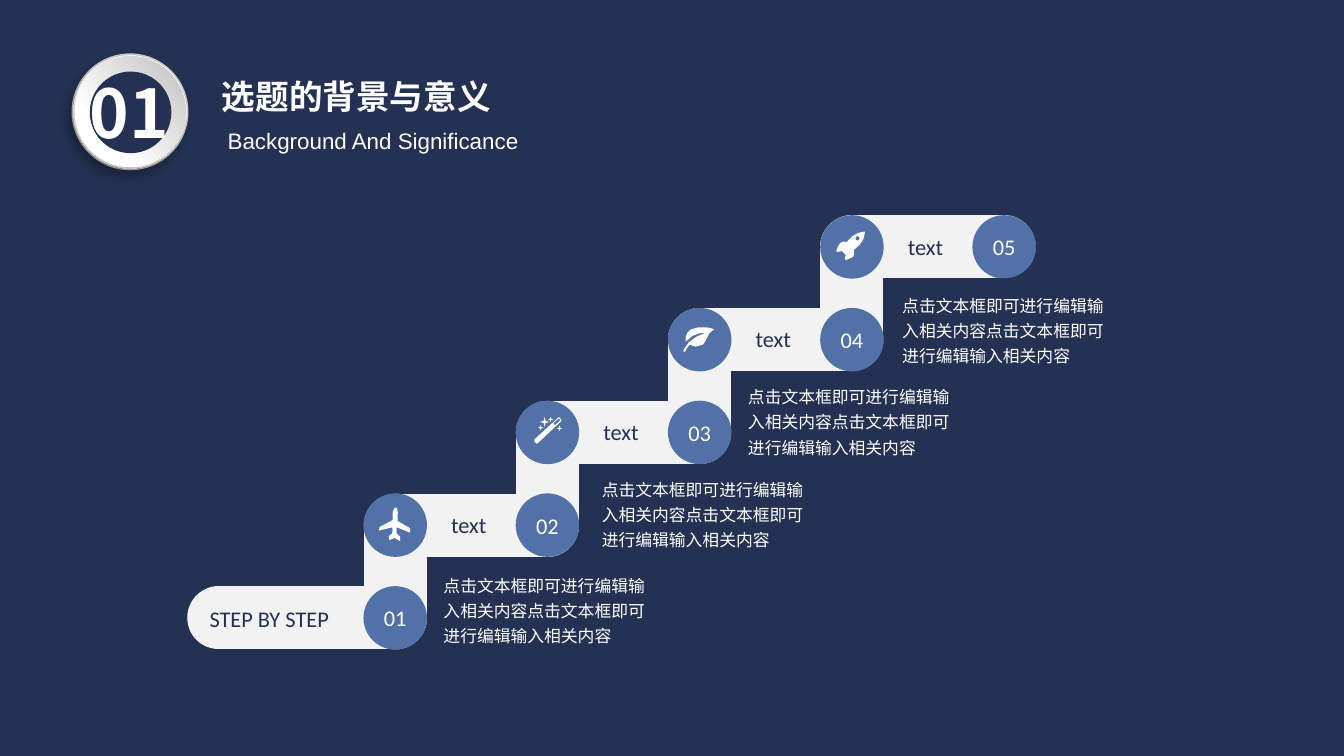
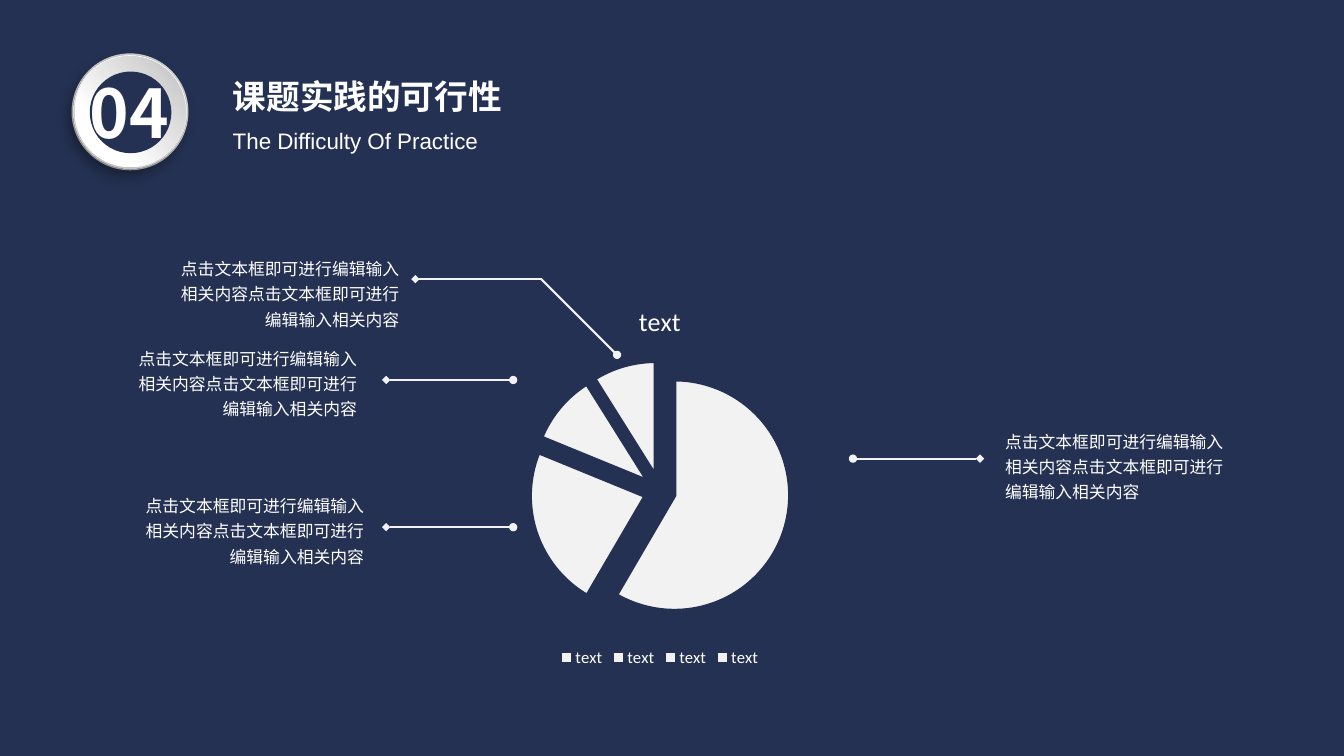
from lxml import etree
from pptx import Presentation
from pptx.chart.data import CategoryChartData
from pptx.dml.color import RGBColor
from pptx.enum.chart import XL_CHART_TYPE, XL_LEGEND_POSITION
from pptx.enum.shapes import MSO_CONNECTOR, MSO_SHAPE
from pptx.enum.text import MSO_ANCHOR, MSO_AUTO_SIZE, PP_ALIGN
from pptx.oxml import parse_xml
from pptx.oxml.ns import nsdecls, qn
from pptx.util import Inches, Pt

NAVY = RGBColor(0x24, 0x31, 0x52)
BLUE = RGBColor(0x2F, 0x55, 0x97)
WHITE = RGBColor(0xFF, 0xFF, 0xFF)
PALE = RGBColor(0xF2, 0xF2, 0xF2)
RIM = RGBColor(0xD3, 0xD3, 0xD3)
SILVER = RGBColor(0xB8, 0xB8, 0xB8)
GREY = RGBColor(0xBF, 0xBF, 0xBF)
CJK, LATIN, SUBTITLE_FONT = "Noto Sans CJK SC", "Calibri", "Arial"
CAPTION = "点击文本框即可进行编辑输入相关内容" * 2


def write(shape, text, size, font=LATIN, color=WHITE, bold=False, align=PP_ALIGN.LEFT,
          anchor=MSO_ANCHOR.TOP, wrap=True, spacing=None):
    frame = shape.text_frame
    frame.auto_size = MSO_AUTO_SIZE.NONE
    frame.word_wrap = wrap
    frame.vertical_anchor = anchor
    paragraph = frame.paragraphs[0]
    paragraph.alignment = align
    if spacing:
        paragraph.line_spacing = spacing
    run = paragraph.add_run()
    run.text = text
    for name, value in {"size": Pt(size), "name": font, "bold": bold}.items():
        setattr(run.font, name, value)
    run.font.color.rgb = color
    etree.SubElement(run.font._element, qn("a:ea"), typeface=font)


def connect(slide, start, end, width, head=None, tail=None):
    line = slide.shapes.add_connector(MSO_CONNECTOR.STRAIGHT, *map(Inches, start + end))
    line.line.color.rgb = PALE
    line.line.width = Pt(width)
    outline = line.line._get_or_add_ln()
    outline.set("cap", "flat" if head or tail else "rnd")
    for tag, kind in (("a:headEnd", head), ("a:tailEnd", tail)):
        if kind:
            etree.SubElement(outline, qn(tag), type=kind)
    etree.SubElement(line._element.spPr, qn("a:effectLst"))


prs = Presentation()
prs.slide_width, prs.slide_height = Inches(13.33), Inches(7.5)
background = prs.slide_master.background.fill
background.solid()
background.fore_color.rgb = NAVY

# Shared header: numbered ring, title, subtitle
# Ring layers: offset from the badge corner, diameter, rotation, fill stops
ring_layers = [
    (0, 1.16, 0, [(0, RIM)]),
    (0.02, 1.12, 152.3, [(0.17, WHITE), (0.88, SILVER)]),
    (0.03, 1.1, 3, [(0.29, WHITE), (0.98, GREY)]),
    (0.18, 0.81, 0, [(0, NAVY)]),
]
headers = [
    ("01", "选题的背景与意义", 2.1, "Background And Significance", 2.16),
    ("04", "课题实践的可行性", 2.21, "The Difficulty Of Practice", 2.21),
]
slides = []
for number, heading, heading_left, subheading, subheading_left in headers:
    slide = prs.slides.add_slide(prs.slide_layouts[5])
    slides.append(slide)
    for offset, diameter, rotation, stops in ring_layers:
        ring = slide.shapes.add_shape(MSO_SHAPE.OVAL, Inches(0.71 + offset), Inches(0.53 + offset),
                                      Inches(diameter), Inches(diameter))
        ring.rotation = rotation
        ring.shadow.inherit = False
        ring.line.fill.background()
        if len(stops) == 1:
            ring.fill.solid()
            ring.fill.fore_color.rgb = stops[0][1]
        else:
            ring.fill.gradient()
            ring.fill.gradient_angle = 45
            for stop, (position, color) in zip(ring.fill.gradient_stops, stops):
                stop.position = position
                stop.color.rgb = color
        if rotation > 90:
            effects = ring._element.spPr.find(qn("a:effectLst"))
            effects.append(parse_xml(
                f'<a:outerShdw {nsdecls("a")} blurRad="{Pt(10)}" dist="{Pt(5)}" dir="{123 * 60000}" '
                'rotWithShape="0"><a:srgbClr val="000000"><a:alpha val="39000"/></a:srgbClr></a:outerShdw>'))
    badge = slide.shapes.add_textbox(Inches(0.59), Inches(0.66), Inches(1.39), Inches(0.91))
    write(badge, number, 48, CJK, bold=True, align=PP_ALIGN.CENTER)
    title = slide.shapes.title
    title.left, title.top = Inches(heading_left), Inches(0.7)
    title.width, title.height = Inches(5.4), Inches(0.5)
    write(title, heading, 24, CJK, bold=True)
    subtitle = slide.shapes.add_textbox(Inches(subheading_left), Inches(1.21), Inches(5.4), Inches(0.37))
    write(subtitle, subheading, 16, SUBTITLE_FONT)

steps_slide, share_slide = slides

# Staircase: step i is centred at (xs[i], ys[i])
xs = [3.92 + 1.51 * i for i in range(5)]
ys = [6.13 - 0.92 * i for i in range(5)]
for x_before, x, y in zip([2.17] + xs, xs, ys):
    connect(steps_slide, (x_before, y), (x, y), 45)
for x, y, y_next in zip(xs, ys, ys[1:]):
    connect(steps_slide, (x, y), (x, y_next), 45)

# Discs: numbers on the steps, empty ones at the corners for icons
discs = [(x, y, f"{i:02d}") for i, (x, y) in enumerate(zip(xs, ys), 1)]
discs += [(x, y, "") for x, y in zip(xs, ys[1:])]
for x, y, number in discs:
    disc = steps_slide.shapes.add_shape(MSO_SHAPE.OVAL, Inches(x - 0.315), Inches(y - 0.315),
                                        Inches(0.63), Inches(0.63))
    disc.shadow.inherit = False
    disc.line.fill.background()
    disc.fill.solid()
    disc.fill.fore_color.rgb = BLUE
    tint = disc._element.spPr.find(qn("a:solidFill"))[0]
    etree.SubElement(tint, qn("a:alpha"), val="82000")
    if number:
        write(disc, number, 16, align=PP_ALIGN.CENTER, anchor=MSO_ANCHOR.MIDDLE, wrap=False)

# Icons: outlines in thousandths of an inch from the icon corner
plane = [[(210, 320), (240, 290), (200, 150), (260, 90), (285, 55), (280, 40), (260, 38), (230, 50),
          (170, 110), (30, 70), (0, 90), (120, 160), (80, 200), (30, 200), (10, 230), (60, 250),
          (80, 310), (110, 280), (110, 230), (150, 190)]]
sparkles = [[(x, y - r), (x + r / 5, y - r / 5), (x + r, y), (x + r / 5, y + r / 5),
             (x, y + r), (x - r / 5, y + r / 5), (x - r, y), (x - r / 5, y - r / 5)]
            for x, y, r in [(63, 113, 28), (102, 56, 50), (162, 30, 28), (250, 120, 28)]]
wand = [[(240, 10), (250, 10), (265, 30), (270, 40), (262, 52), (30, 270), (20, 270), (8, 258),
         (0, 245), (0, 230)],
        [(258, 40), (240, 22), (190, 70), (203, 90)]] + sparkles
leaf = [[(80, 50), (48, 82), (32, 118), (30, 170), (95, 114), (160, 88), (230, 80), (139, 120),
         (65, 173), (10, 250), (8, 265), (22, 270), (30, 260), (48, 228), (70, 200), (128, 219),
         (200, 200), (224, 168), (244, 129), (268, 83), (310, 50), (294, 39), (236, 27), (156, 27)]]
rocket = [[(180, 190), (239, 137), (276, 80), (290, 10), (280, 8), (220, 22), (161, 56), (110, 110),
           (70, 108), (45, 120), (25, 150), (8, 190), (5, 207), (20, 210), (60, 200), (100, 240),
           (88, 280), (100, 290), (150, 270), (174, 255), (183, 230)],
          [(200, 90), (195, 75), (200, 60), (215, 52), (230, 60), (238, 75), (230, 90), (215, 98)]]
icons = [(plane, 3.78, 5.05, 316.2), (wand, 5.3, 4.13, 0), (leaf, 6.77, 3.22, 0), (rocket, 8.29, 2.29, 0)]
for contours, left, top, rotation in icons:
    builder = steps_slide.shapes.build_freeform(*contours[0][0], scale=914.4)
    builder.add_line_segments(contours[0][1:])
    for contour in contours[1:]:
        builder.move_to(*contour[0])
        builder.add_line_segments(contour[1:])
    icon = builder.convert_to_shape(Inches(left), Inches(top))
    icon.rotation = rotation
    icon.shadow.inherit = False
    icon.line.fill.background()
    icon.fill.solid()
    icon.fill.fore_color.rgb = WHITE

# Step labels
start_label = steps_slide.shapes.add_textbox(Inches(1.98), Inches(5.95), Inches(1.43), Inches(0.37))
write(start_label, "STEP BY STEP", 16, color=NAVY, wrap=False)
for x, y in zip(xs, ys[1:]):
    step_label = steps_slide.shapes.add_textbox(Inches(x + 0.45), Inches(y - 0.19), Inches(0.56), Inches(0.37))
    write(step_label, "text", 16, color=NAVY, align=PP_ALIGN.CENTER, wrap=False)

# Leader lines around the pie
connect(share_slide, (6.12, 3.52), (5.37, 2.77), 1.5, head="oval")
connect(share_slide, (5.38, 2.77), (4.12, 2.77), 1.5, tail="diamond")
for x, x_end, y in [(5.09, 3.83, 3.77), (5.09, 3.83, 5.23), (8.46, 9.72, 4.55)]:
    connect(share_slide, (x, y), (x_end, y), 1.5, head="oval", tail="diamond")

# Exploded pie
shares = CategoryChartData()
shares.categories = ["text"] * 4
shares.add_series("text", [59, 23, 10, 9])
pie = share_slide.shapes.add_chart(XL_CHART_TYPE.PIE, Inches(3.67), Inches(2.83),
                                   Inches(5.75), Inches(3.83), shares).chart
pie.has_title = True
pie.chart_title.include_in_layout = False
pie.chart_title.text_frame.text = "text"
pie.has_legend = True
pie.legend.position = XL_LEGEND_POSITION.BOTTOM
pie.legend.include_in_layout = False
pie_title_font = pie.chart_title.text_frame.paragraphs[0].runs[0].font
for font, size in [(pie.font, 10), (pie_title_font, 18.6), (pie.legend.font, 11.9)]:
    font.name, font.size, font.bold = LATIN, Pt(size), False
    font.color.rgb = WHITE
pie.plots[0].vary_by_categories = True
slices = pie.plots[0].series[0]
for part in [slices] + [slices.points[i] for i in range(4)]:
    part.format.fill.solid()
    part.format.fill.fore_color.rgb = PALE
    part.format.line.color.rgb = NAVY
    part.format.line.width = Pt(3)
slices._element.find(qn("c:spPr")).addnext(parse_xml(f'<c:explosion {nsdecls("c")} val="13"/>'))

# Captions on both slides
captions = [(steps_slide, left, top, 2.32, PP_ALIGN.LEFT)
            for left, top in [(4.3, 5.61), (5.87, 4.66), (7.32, 3.74), (8.85, 2.83)]]
captions += [(share_slide, left, top, 2.47, PP_ALIGN.RIGHT)
             for left, top in [(1.59, 2.47), (1.17, 3.36), (1.24, 4.82)]]
captions.append((share_slide, 9.87, 4.18, 2.47, PP_ALIGN.LEFT))
for slide, left, top, width, align in captions:
    caption = slide.shapes.add_textbox(Inches(left), Inches(top), Inches(width), Inches(0.86))
    write(caption, CAPTION, 12, CJK, align=align, spacing=1.25)

prs.save("out.pptx")
